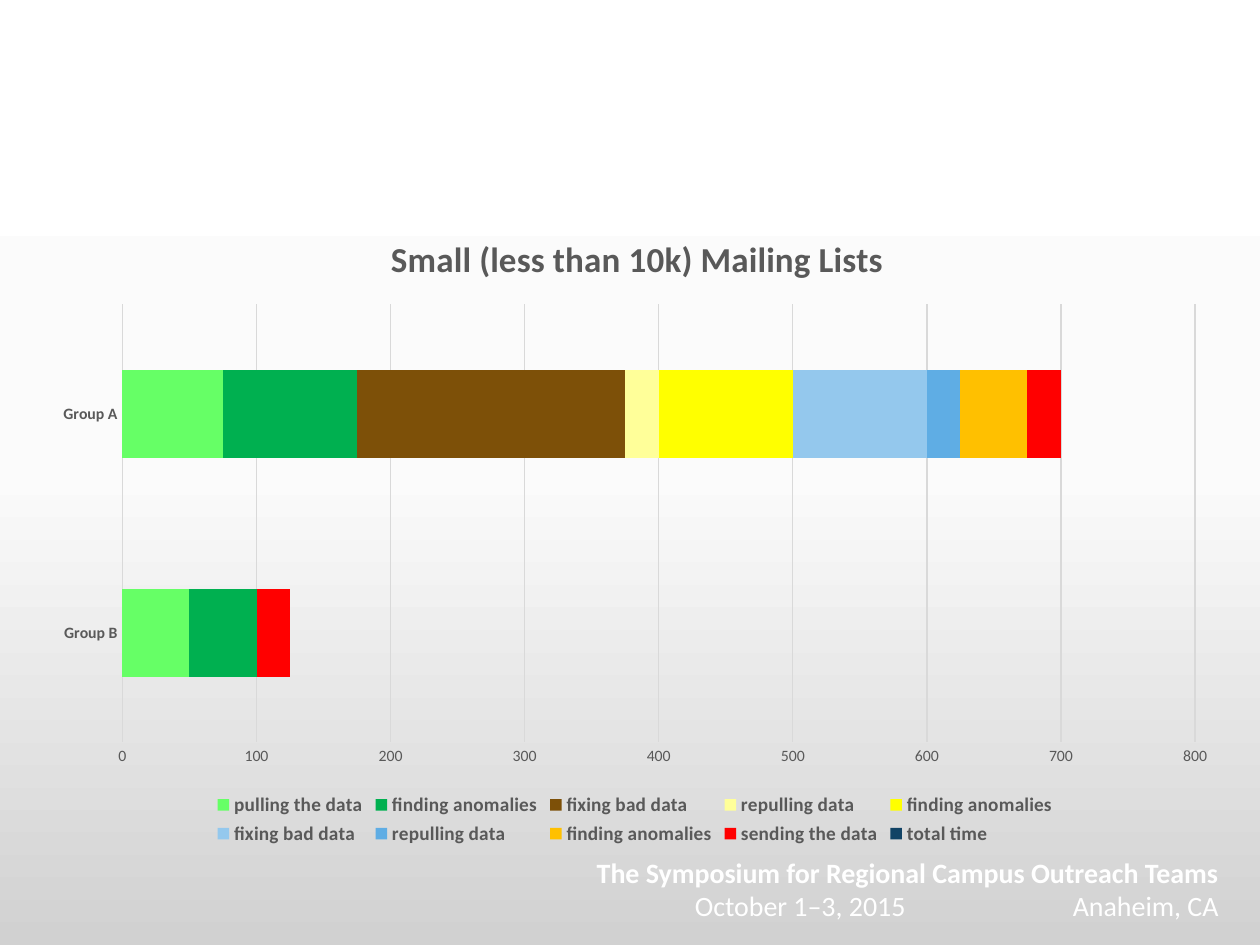
"""Build the slide on preparation time for small mailing lists."""
from copy import deepcopy
from dataclasses import dataclass
from typing import Any

from lxml import etree
from pptx import Presentation, util as u
from pptx.chart.data import CategoryChartData
from pptx.dml.color import RGBColor
from pptx.enum import chart as charts, text
from pptx.oxml.ns import qn

STEPS = [
    ("pulling the data", (50, 75), "66FF66"),
    ("finding anomalies", (50, 100), "00B050"),
    ("fixing bad data", (None, 200), "7D5008"),
    ("repulling data", (None, 25), "FFFF99"),
    ("finding anomalies", (None, 100), "FFFF00"),
    ("fixing bad data", (None, 100), "94C8ED"),
    ("repulling data", (None, 25), "5FADE4"),
    ("finding anomalies", (None, 50), "FFC000"),
    ("sending the data", (25, 25), "FF0000"),
    ("total time", (None, None), "114365"),
]


def rgb(code):
    return RGBColor.from_string(code)


def place(parent, index, **fractions):
    for old in parent.findall(qn("c:layout")):
        parent.remove(old)
    layout = etree.Element(qn("c:layout"))
    manual = etree.SubElement(layout, qn("c:manualLayout"))
    if "w" in fractions:
        etree.SubElement(manual, qn("c:layoutTarget")).set("val", "inner")
    modes = {"xMode": "edge", "yMode": "edge"}
    for tag, value in {**modes, **fractions}.items():
        etree.SubElement(manual, qn(f"c:{tag}")).set("val", str(value))
    parent.insert(index, layout)


@dataclass
class Deck:
    slide: Any
    face: str = "Calibri"
    ink: str = "595959"
    grid: str = "D9D9D9"

    def style(self, font, size, bold=False, color=None):
        font.name, font.size, font.bold = self.face, u.Pt(size), bold
        font.color.rgb = rgb(color or self.ink)

    def background(self, colors):
        fill = self.slide.background.fill
        fill.gradient()
        fill.gradient_angle = 270
        stops = next(self.slide.element.iter(qn("a:gsLst")))
        stops.insert(1, deepcopy(stops[0]))
        for i, (stop, color) in enumerate(zip(fill.gradient_stops, colors)):
            stop.color.rgb = rgb(color)
            stop.position = i / (len(colors) - 1)

    def footer(self, box, lines, size, color):
        holder = self.slide.shapes.add_textbox(*map(u.Inches, box))
        frame = holder.text_frame
        frame.word_wrap = True
        frame.auto_size = text.MSO_AUTO_SIZE.SHAPE_TO_FIT_TEXT
        for i, (line, bold) in enumerate(lines):
            paragraph = frame.add_paragraph() if i else frame.paragraphs[0]
            paragraph.text = line
            paragraph.alignment = text.PP_ALIGN.RIGHT
            self.style(paragraph.font, size, bold, color)
        for properties in holder.element.iter(qn("a:pPr")):
            properties.set("defTabSz", str(u.Inches(1)))

    def axis(self, axis, bold):
        axis.major_tick_mark = axis.minor_tick_mark = charts.XL_TICK_MARK.NONE
        axis.format.line.fill.background()
        self.style(axis.tick_labels.font, 9, bold)

    def stacked_bars(self, box, heading, groups, steps):
        data = CategoryChartData(number_format="0")
        data.categories = groups
        for name, minutes, _ in steps:
            data.add_series(name, minutes)
        chart = self.slide.shapes.add_chart(
            charts.XL_CHART_TYPE.BAR_STACKED, *map(u.Inches, box), data).chart
        self.style(chart.font, 10, color="000000")

        title = chart.chart_title
        title.text_frame.text = heading
        self.style(title.text_frame.paragraphs[0].font, 20, True)
        place(title.element, 1, x=0.29, y=0.02)
        plot_area = next(chart.element.iter(qn("c:plotArea")))
        place(plot_area, 0, x=0.07, y=0.14, w=0.9, h=0.69)

        self.axis(chart.category_axis, True)
        scale = chart.value_axis
        self.axis(scale, False)
        scale.minimum_scale, scale.maximum_scale, scale.major_unit = 0, 800, 100
        scale.tick_labels.number_format = "0"
        scale.tick_labels.number_format_is_linked = False
        scale.major_gridlines.format.line.color.rgb = rgb(self.grid)
        scale.major_gridlines.format.line.width = u.Pt(0.75)

        chart.has_legend = True
        chart.legend.position = charts.XL_LEGEND_POSITION.BOTTOM
        chart.legend.include_in_layout = False
        self.style(chart.legend.font, 11, True)

        bars = chart.plots[0]
        bars.gap_width, bars.overlap, bars.vary_by_categories = 150, 100, False
        for series, (_, _, color) in zip(bars.series, steps):
            series.format.fill.solid()
            series.format.fill.fore_color.rgb = rgb(color)
            series.invert_if_negative = False


def main():
    show = Presentation()
    show.slide_width, show.slide_height = u.Inches(10), u.Inches(7.5)
    deck = Deck(show.slides.add_slide(show.slide_layouts[6]))
    deck.background(["FFFFFF", "FBFBFB", "D1D1D1"])
    deck.footer(
        (3.38, 6.74, 6.39, 0.64),
        [("The Symposium for Regional Campus Outreach Teams", True),
         ("October 1–3, 2015\t\tAnaheim, CA", False)],
        16, "FFFFFF")
    deck.stacked_bars(
        (0.31, 1.71, 9.46, 5.04), "Small (less than 10k) Mailing Lists",
        ["Group B", "Group A"], STEPS)
    show.save("out.pptx")


if __name__ == "__main__":
    main()
